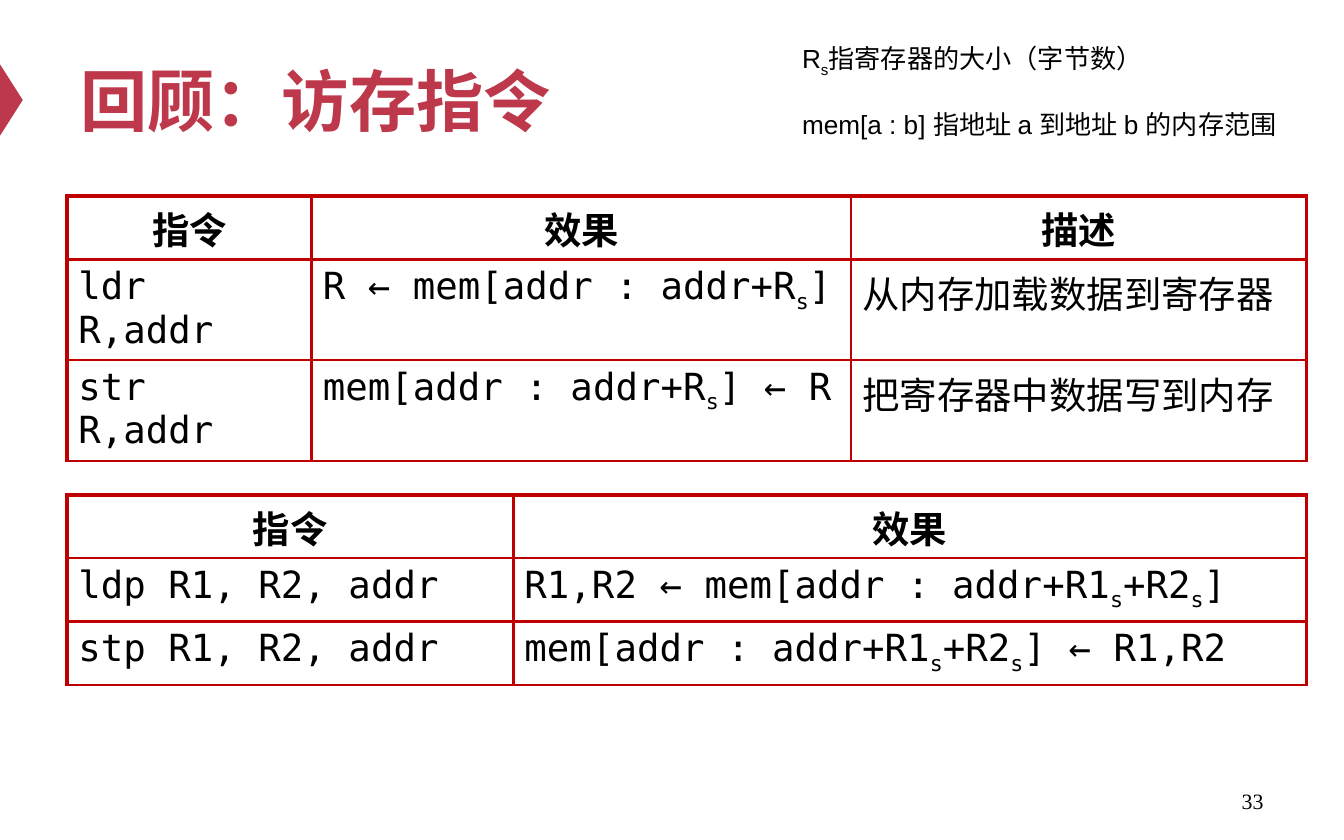
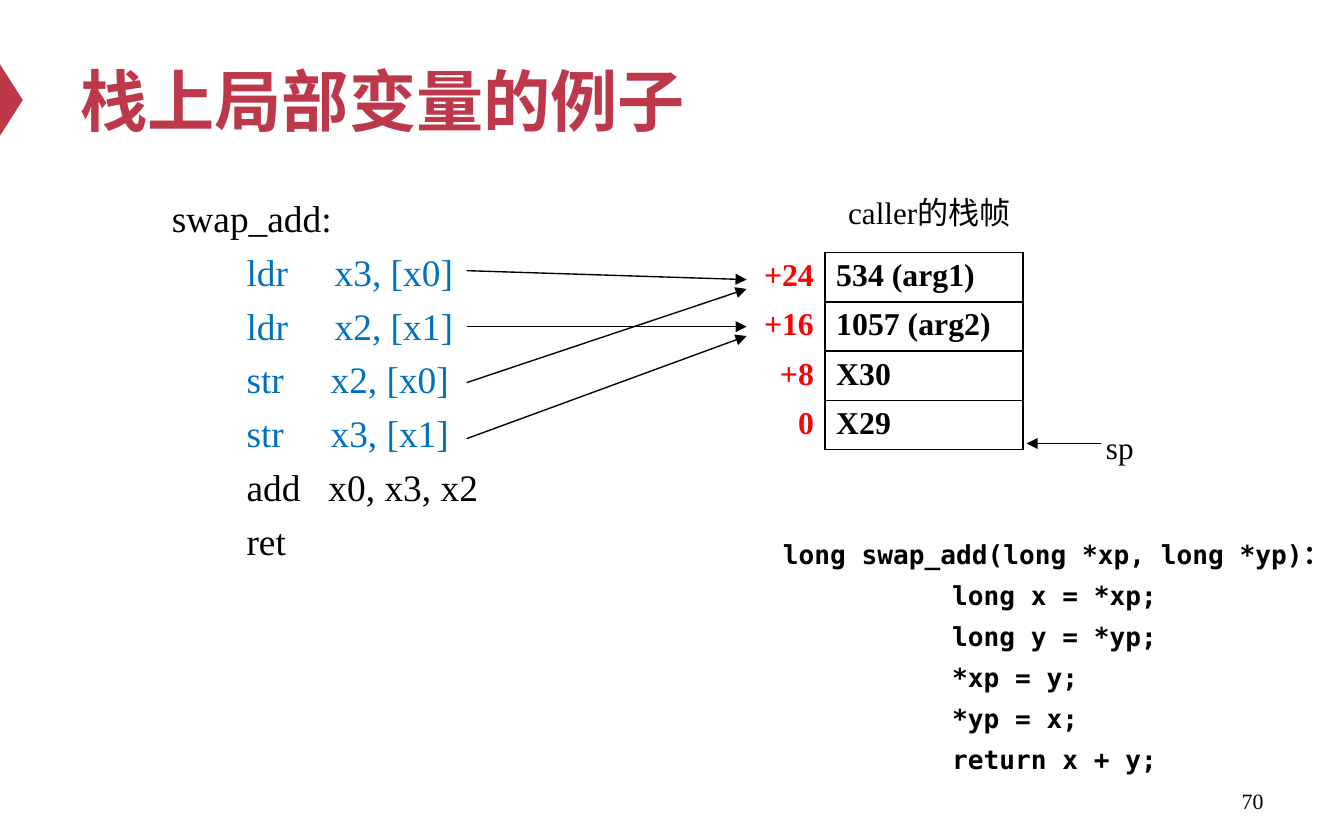
"""Build two slides on memory access instructions and stack locals."""
from lxml.etree import SubElement
from pptx import Presentation
from pptx.dml.color import RGBColor
from pptx.enum.shapes import MSO_CONNECTOR as CONN, MSO_SHAPE as SHAPE
from pptx.enum.text import MSO_ANCHOR as ANCHOR, PP_ALIGN as ALIGN
from pptx.oxml.ns import qn
from pptx.util import Pt

CRIMSON = RGBColor(0xBE, 0x38, 0x4B)
RULE_RED = RGBColor(0xC0, 0x00, 0x00)
OFFSET_RED = RGBColor(0xFF, 0x00, 0x00)
CODE_BLUE = RGBColor(0x00, 0x70, 0xC0)
BLACK = RGBColor(0, 0, 0)
SANS, SERIF = "Arial", "Times New Roman"
MONO, CJK = "DejaVu Sans Mono", "Noto Sans CJK SC"

# Odd-numbered pieces of a text are subscripts.
NOTES = [
    ["R", "s", "指寄存器的大小（字节数）"],
    ["mem[a : b] 指地址 a 到地址 b 的内存范围"],
]
SINGLE = {
    "top": 105, "widths": [131, 289, 244], "fonts": [MONO, MONO, CJK], "right": 2.25,
    "rows": [
        [["指令"], ["效果"], ["描述"]],
        [["ldr R,addr"], ["R ← mem[addr : addr+R", "s", "]"], ["从内存加载数据到寄存器"]],
        [["str R,addr"], ["mem[addr : addr+R", "s", "] ← R"], ["把寄存器中数据写到内存"]],
    ],
}
PAIR = {
    "top": 265, "widths": [239, 425], "fonts": [MONO, MONO], "right": 1.5,
    "rows": [
        [["指令"], ["效果"]],
        [["ldp R1, R2, addr"], ["R1,R2 ← mem[addr : addr+R1", "s", "+R2", "s", "]"]],
        [["stp R1, R2, addr"], ["mem[addr : addr+R1", "s", "+R2", "s", "] ← R1,R2"]],
    ],
}
ASSEMBLY = [
    ("swap_add:", BLACK),
    ("        ldr     x3, [x0]", CODE_BLUE),
    ("        ldr     x2, [x1]", CODE_BLUE),
    ("        str     x2, [x0]", CODE_BLUE),
    ("        str     x3, [x1]", CODE_BLUE),
    ("        add   x0, x3, x2", BLACK),
    ("        ret", BLACK),
]
STACK = [("+24", "534 (arg1)"), ("+16", "1057 (arg2)"), ("+8", "X30"), ("0", "X29")]
ACCESS_ENDS = [149.8, 175, 154.8, 180]
C_HEAD = "long swap_add(long *xp, long *yp)："
C_BODY = ["long x = *xp;", "long y = *yp;", "*xp = y;", "*yp = x;", "return x + y;"]


def add_runs(p, pieces, size, font, color=BLACK, bold=False):
    for i, piece in enumerate(pieces):
        r = p.add_run()
        r.text = piece
        f = r.font
        f.size, f.name, f.bold = Pt(size), font, bold
        f.color.rgb = color
        SubElement(f._element, qn("a:ea")).set("typeface", CJK)
        if i % 2:
            f._element.set("baseline", "-25000")


def add_box(slide, place, anchor=ANCHOR.TOP):
    tf = slide.shapes.add_textbox(*map(Pt, place)).text_frame
    tf.word_wrap = True
    tf.vertical_anchor = anchor
    return tf


def add_line(slide, place, text, size, font, color=BLACK, bold=False,
             align=ALIGN.LEFT, anchor=ANCHOR.TOP):
    p = add_box(slide, place, anchor).paragraphs[0]
    p.alignment = align
    add_runs(p, [text], size, font, color, bold)


def next_paragraph(tf, index, gap):
    if index == 0:
        return tf.paragraphs[0]
    p = tf.add_paragraph()
    p.space_before = Pt(gap)
    return p


def add_arrow(slide, x1, y1, x2, y2):
    c = slide.shapes.add_connector(CONN.STRAIGHT, *map(Pt, (x1, y1, x2, y2)))
    c.line.color.rgb = BLACK
    c.line.width = Pt(0.75)
    SubElement(c.line._get_or_add_ln(), qn("a:tailEnd")).set("type", "triangle")
    SubElement(c._element.spPr, qn("a:effectLst"))


def add_grid(slide, left, top, widths, row_height, count):
    frame = slide.shapes.add_table(count, len(widths), Pt(left), Pt(top),
                                   Pt(sum(widths)), Pt(row_height * count))
    table = frame.table
    table.first_row = table.horz_banding = False
    for column, width in zip(table.columns, widths):
        column.width = Pt(width)
    for row in table.rows:
        row.height = Pt(row_height)
    return table


def style_cell(cell, color, borders):
    cell.margin_left = cell.margin_right = Pt(6)
    cell.margin_top = cell.margin_bottom = Pt(3)
    tc_pr = cell._tc.get_or_add_tcPr()
    for side in "LRTB":
        width = borders.get(side, 0)
        ln = SubElement(tc_pr, qn(f"a:ln{side}"), w=str(Pt(width)))
        if width:
            fill = SubElement(ln, qn("a:solidFill"))
            SubElement(fill, qn("a:srgbClr"), val=str(color))
        else:
            SubElement(ln, qn("a:noFill"))
    cell.fill.background()


def add_instructions(slide, top, widths, fonts, right, rows):
    table = add_grid(slide, 36, top, widths, 34, len(rows))
    last = len(widths) - 1
    for i, row in enumerate(rows):
        for j, pieces in enumerate(row):
            cell = table.cell(i, j)
            style_cell(cell, RULE_RED, {
                "L": 1.5 if j else 2.25, "R": right if j == last else 1.5,
                "T": 1.5 if i else 2.25, "B": 1.5})
            p = cell.text_frame.paragraphs[0]
            p.alignment = ALIGN.LEFT if i else ALIGN.CENTER
            add_runs(p, pieces, 20, fonts[j] if i else SANS, bold=i == 0)


def add_stack(slide):
    table = add_grid(slide, 380, 135.3, [62, 106], 26.4, len(STACK))
    for i, (offset, value) in enumerate(STACK):
        label, slot = table.cell(i, 0), table.cell(i, 1)
        style_cell(label, BLACK, {"R": 1})
        style_cell(slot, BLACK, dict.fromkeys("LRTB", 1))
        p = label.text_frame.paragraphs[0]
        p.alignment = ALIGN.RIGHT
        add_runs(p, [offset], 17, SERIF, OFFSET_RED, True)
        add_runs(slot.text_frame.paragraphs[0], [value], 17, SERIF, bold=True)


def start_slide(prs, title, number):
    slide = prs.slides.add_slide(prs.slide_layouts[6])
    marker = slide.shapes.add_shape(SHAPE.ISOSCELES_TRIANGLE, Pt(-13), Pt(47.5),
                                    Pt(38.2), Pt(12.2))
    marker.rotation = 90
    marker.shadow.inherit = False
    marker.fill.solid()
    marker.fill.fore_color.rgb = CRIMSON
    marker.line.fill.background()
    add_line(slide, (36, 18, 648, 70.6), title, 36, CJK, CRIMSON, True,
             anchor=ANCHOR.MIDDLE)
    add_line(slide, (516, 417, 168, 24), number, 11.7, SERIF,
             align=ALIGN.RIGHT, anchor=ANCHOR.MIDDLE)
    return slide


def build_review(prs):
    slide = start_slide(prs, "回顾：访存指令", "33")
    tf = add_box(slide, (422.6, 19.4, 271.4, 75))
    for i, pieces in enumerate(NOTES):
        p = next_paragraph(tf, i, 16)
        p.alignment = ALIGN.JUSTIFY
        add_runs(p, pieces, 14, SANS)
    for instructions in (SINGLE, PAIR):
        add_instructions(slide, **instructions)


def build_locals(prs):
    slide = start_slide(prs, "栈上局部变量的例子", "70")
    tf = add_box(slide, (85, 101, 345, 206))
    for i, (text, color) in enumerate(ASSEMBLY):
        add_runs(next_paragraph(tf, i, 4.8), [text], 20, SERIF, color)
    add_stack(slide)
    add_line(slide, (585.4, 226, 40, 27), "sp", 16.7, SERIF)
    add_arrow(slide, 590, 237.6, 550, 237.6)
    for i, end in enumerate(ACCESS_ENDS):
        add_arrow(slide, 250, 145 + 30 * i, 400, end)
    add_line(slide, (409.7, 100, 176.4, 27), "caller的栈帧", 16.7, SERIF,
             align=ALIGN.CENTER)
    tf = add_box(slide, (404, 291.6, 332, 171))
    for i, text in enumerate([C_HEAD] + C_BODY):
        p = next_paragraph(tf, i, 12)
        p.line_spacing = Pt(10)
        p._p.get_or_add_pPr().set("marL", str(Pt(99 if i else 8.4)))
        add_runs(p, [text], 14, MONO, bold=True)


def main():
    prs = Presentation()
    prs.slide_width, prs.slide_height = Pt(720), Pt(450)
    build_review(prs)
    build_locals(prs)
    prs.save("out.pptx")


if __name__ == "__main__":
    main()
